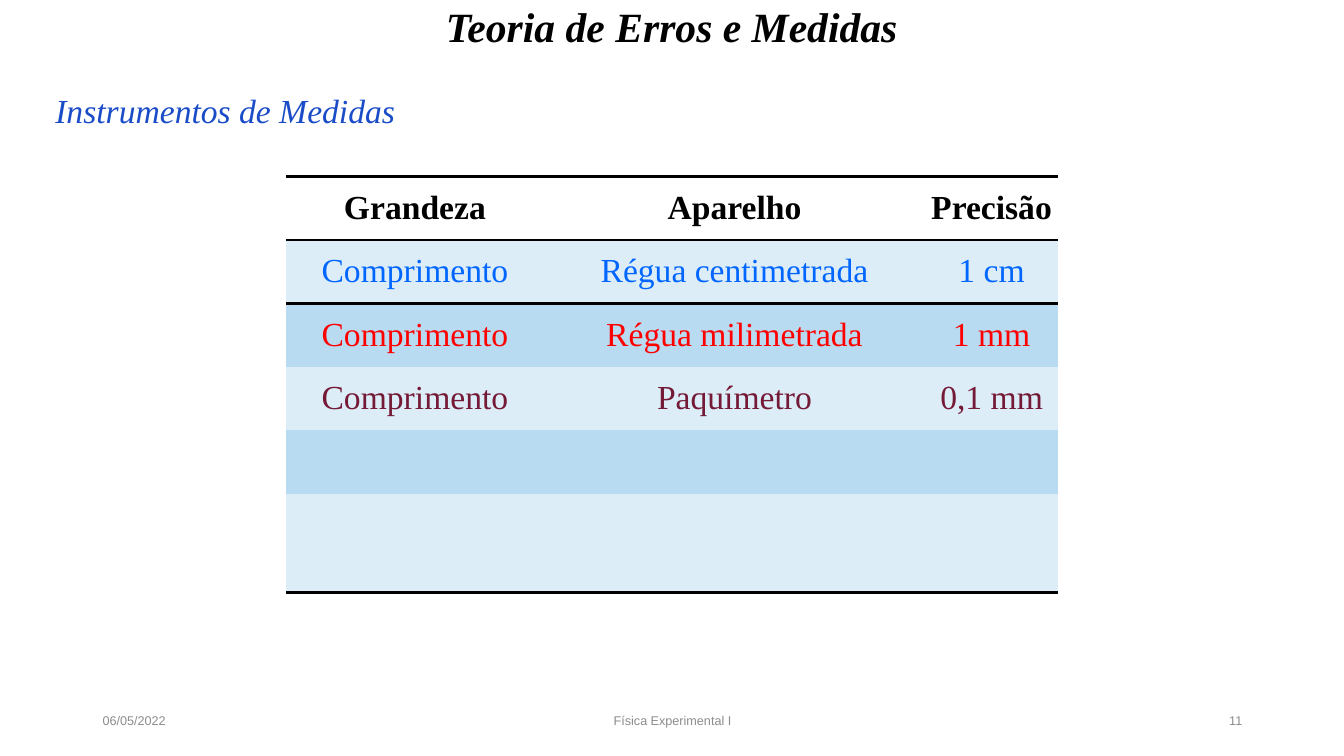
import dataclasses

import lxml.etree
import pptx
import pptx.dml.color
import pptx.enum.text
import pptx.oxml.ns
import pptx.util

PX = 9144
ALIGN = pptx.enum.text.PP_ALIGN
ANCHOR = pptx.enum.text.MSO_ANCHOR


@dataclasses.dataclass(frozen=True)
class Theme:
    serif: str = "Times New Roman"
    sans: str = "Arial"
    ink: str = "000000"
    heading: str = "1A4CC8"
    footer: str = "8C8C8C"
    centimetre: str = "0066FF"
    millimetre: str = "FF0000"
    caliper: str = "741A36"
    bands: tuple = ("DCEDF8", "B8DBF1")
    title_size: float = 29.7
    text_size: int = 24
    footer_size: int = 9
    rule_width: float = 2.25


THEME = Theme()
COLUMN_WIDTHS = (255, 379, 131)
ROW_HEIGHTS = (63, 63, 63, 63, 63, 98)
RULED_EDGES = (0, 1, 2, 6)
INSTRUMENTS = (
    (THEME.ink, ("Grandeza", "Aparelho", "Precisão")),
    (THEME.centimetre, ("Comprimento", "Régua centimetrada", "1 cm")),
    (THEME.millimetre, ("Comprimento", "Régua milimetrada", "1 mm")),
    (THEME.caliper, ("Comprimento", "Paquímetro", "0,1 mm")),
    (THEME.ink, ("", "", "")),
    (THEME.ink, ("", "", "")),
)
FOOTERS = (
    ("06/05/2022", 92, 300, ALIGN.LEFT),
    ("Física Experimental I", 442, 450, ALIGN.CENTER),
    ("11", 942, 300, ALIGN.RIGHT),
)


def px(*lengths):
    return [pptx.util.Emu(length * PX) for length in lengths]


def rgb(color):
    return pptx.dml.color.RGBColor.from_string(color)


def style_font(font, name, size, color, bold=False, italic=False):
    font.name = name
    font.size = pptx.util.Pt(size)
    font.color.rgb = rgb(color)
    font.bold = bold
    font.italic = italic


def write(frame, text, alignment, name, size, color, **emphasis):
    paragraph = frame.paragraphs[0]
    paragraph.alignment = alignment
    if text:
        run = paragraph.add_run()
        run.text = text
        style_font(run.font, name, size, color, **emphasis)
    else:
        style_font(paragraph.font, name, size, color, **emphasis)
    return paragraph


def add_title(slide, text):
    title = slide.shapes.title
    title.left, title.top, title.width, title.height = px(0, 1, 1333, 55)
    frame = title.text_frame
    frame.auto_size = pptx.enum.text.MSO_AUTO_SIZE.NONE
    frame.vertical_anchor = ANCHOR.MIDDLE
    paragraph = write(frame, text, ALIGN.CENTER, THEME.serif, THEME.title_size,
                      THEME.ink, bold=True, italic=True)
    paragraph.line_spacing = 0.9


def add_text(slide, box, text, alignment, anchor, *style, **emphasis):
    frame = slide.shapes.add_textbox(*px(*box)).text_frame
    frame.word_wrap = True
    frame.vertical_anchor = anchor
    write(frame, text, alignment, *style, **emphasis)


def add_border(cell, side, ruled):
    properties = cell._tc.get_or_add_tcPr()
    qn = pptx.oxml.ns.qn
    line = lxml.etree.SubElement(properties, qn(f"a:ln{side}"))
    if ruled:
        line.set("w", str(pptx.util.Pt(THEME.rule_width)))
        fill = lxml.etree.SubElement(line, qn("a:solidFill"))
        lxml.etree.SubElement(fill, qn("a:srgbClr"), val=THEME.ink)
    else:
        line.set("w", "0")
        lxml.etree.SubElement(line, qn("a:noFill"))


def format_cell(cell, row, text, color):
    cell.margin_left, cell.margin_right = px(4, 4)
    cell.margin_top = cell.margin_bottom = 0
    cell.vertical_anchor = ANCHOR.MIDDLE
    for side, ruled in (("L", False), ("R", False),
                        ("T", row in RULED_EDGES), ("B", row + 1 in RULED_EDGES)):
        add_border(cell, side, ruled)
    if row == 0:
        cell.fill.background()
    else:
        cell.fill.solid()
        cell.fill.fore_color.rgb = rgb(THEME.bands[(row - 1) % 2])
    write(cell.text_frame, text, ALIGN.CENTER, THEME.serif, THEME.text_size,
          color, bold=row == 0)


def add_instrument_table(slide):
    box = px(284, 175, sum(COLUMN_WIDTHS), sum(ROW_HEIGHTS))
    table = slide.shapes.add_table(len(ROW_HEIGHTS), len(COLUMN_WIDTHS), *box).table
    table.first_row = table.horz_banding = False
    for column, width in zip(table.columns, px(*COLUMN_WIDTHS)):
        column.width = width
    for row, height in zip(table.rows, px(*ROW_HEIGHTS)):
        row.height = height
    for row, (color, texts) in enumerate(INSTRUMENTS):
        for column, text in enumerate(texts):
            format_cell(table.cell(row, column), row, text, color)


def main():
    presentation = pptx.Presentation()
    presentation.slide_width, presentation.slide_height = px(1333, 750)
    slide = presentation.slides.add_slide(presentation.slide_layouts[5])
    add_title(slide, "Teoria de Erros e Medidas")
    for text, left, width, alignment in FOOTERS:
        add_text(slide, (left, 695, width, 40), text, alignment, ANCHOR.MIDDLE,
                 THEME.sans, THEME.footer_size, THEME.footer)
    add_instrument_table(slide)
    add_text(slide, (45, 84, 551, 50), "Instrumentos de Medidas", ALIGN.LEFT,
             ANCHOR.TOP, THEME.serif, THEME.text_size, THEME.heading, italic=True)
    presentation.save("out.pptx")


if __name__ == "__main__":
    main()
